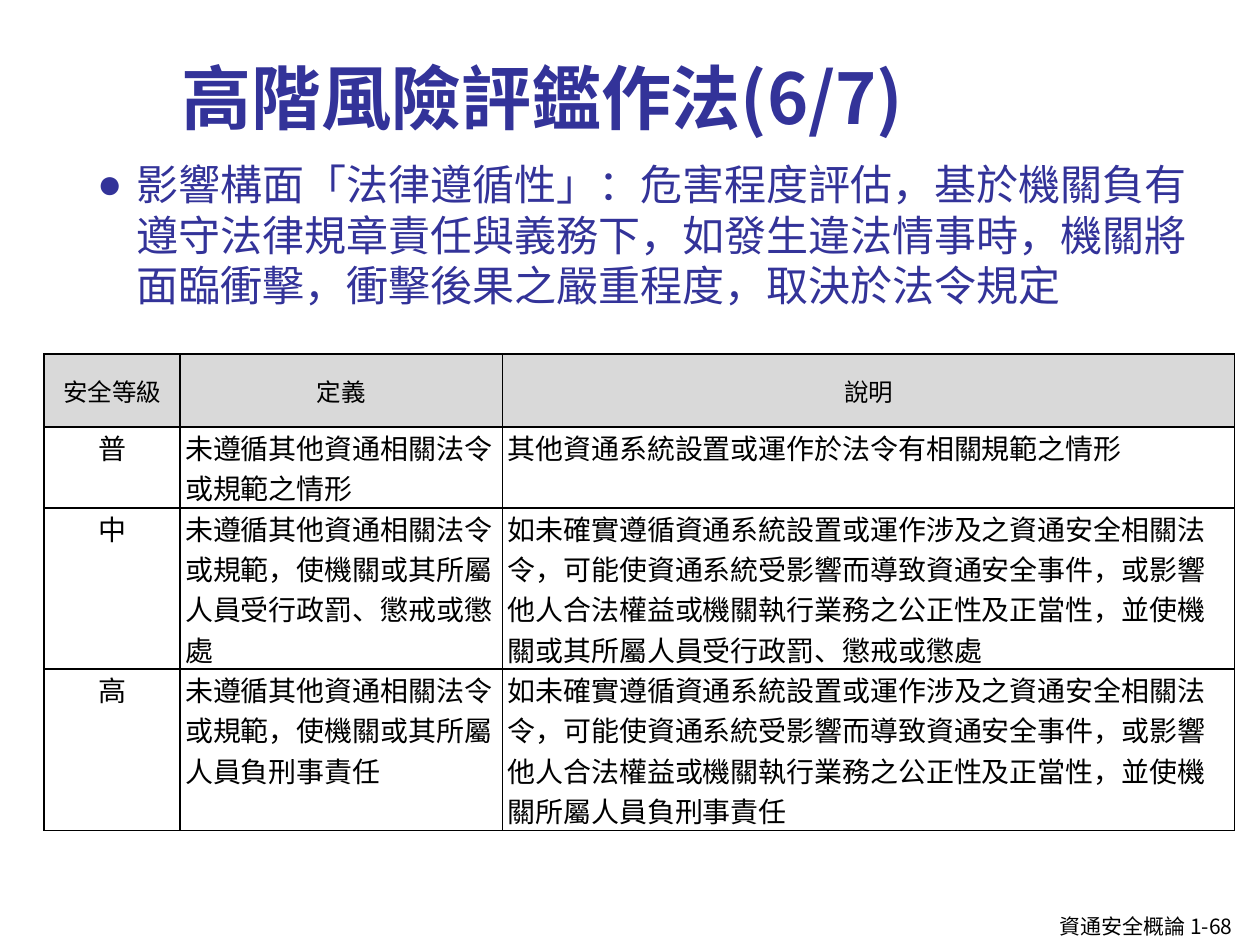
from pptx import Presentation
from pptx import util as u
from pptx.dml.color import RGBColor
from pptx.enum import text
from pptx.oxml.ns import qn
from lxml import etree

NAVY = RGBColor(0x33, 0x33, 0x99)
BLACK = RGBColor(0, 0, 0)
WHITE = RGBColor(0xFF, 0xFF, 0xFF)
GREY = RGBColor(0xD9, 0xD9, 0xD9)
SC, TC = "Noto Sans CJK SC", "Noto Sans CJK TC"
LEFT, CENTER = text.PP_ALIGN.LEFT, text.PP_ALIGN.CENTER
TOP, MIDDLE, BOTTOM = text.MSO_ANCHOR.TOP, text.MSO_ANCHOR.MIDDLE, text.MSO_ANCHOR.BOTTOM

COLS = [1.08, 2.56, 5.81]
ROWS = [0.58, 0.64, 1.28, 1.28]
RISK = "如未確實遵循資通系統設置或運作涉及之資通安全相關法令，可能使資通系統受影響而導致資通安全事件，或影響他人合法權益或機關執行業務之公正性及正當性，並使機關"
LEVELS = [
    ("安全等級", "定義", "說明"),
    ("普", "未遵循其他資通相關法令或規範之情形",
     "其他資通系統設置或運作於法令有相關規範之情形"),
    ("中", "未遵循其他資通相關法令或規範，使機關或其所屬人員受行政罰、懲戒或懲處",
     RISK + "或其所屬人員受行政罰、懲戒或懲處"),
    ("高", "未遵循其他資通相關法令或規範，使機關或其所屬人員負刑事責任",
     RISK + "所屬人員負刑事責任"),
]


def write(tf, content, size, color=BLACK, font=SC, bold=False, align=LEFT):
    """Put one formatted paragraph into a text frame and return it."""
    p = tf.paragraphs[0]
    p.alignment = align
    p.space_before = u.Pt(0)
    r = p.add_run()
    r.text = content
    f = r.font
    f.size, f.bold, f.name = u.Pt(size), bold, font
    f.color.rgb = color
    etree.SubElement(r._r.get_or_add_rPr(), qn("a:ea"), typeface=font)
    return p


def place(sp, left, top, width, height):
    sp.left, sp.top = u.Inches(left), u.Inches(top)
    sp.width, sp.height = u.Inches(width), u.Inches(height)


def add_title(s, content):
    sp = s.shapes.title
    place(sp, 1.34, 0.13, 8.16, 1.02)
    tf = sp.text_frame
    tf.auto_size, tf.vertical_anchor = text.MSO_AUTO_SIZE.NONE, BOTTOM
    write(tf, content, 40, NAVY, TC, bold=True)


def add_body(s, content):
    sp = s.placeholders[1]
    place(sp, 0.67, 1.18, 8.98, 1.7)
    tf = sp.text_frame
    tf.auto_size, tf.vertical_anchor = text.MSO_AUTO_SIZE.NONE, TOP
    tf.margin_top = u.Inches(0.08)
    pPr = tf.paragraphs[0]._p.get_or_add_pPr()
    pPr.set("marL", str(u.Inches(0.31)))
    pPr.set("indent", str(-u.Inches(0.31)))
    etree.SubElement(pPr, qn("a:buChar"), char="●")
    p = write(tf, content, 24, NAVY)
    p.line_spacing = 1.0


def add_borders(cell):
    """Draw a 1 pt black line on each side of a cell, ahead of its fill."""
    tcPr = cell._tc.get_or_add_tcPr()
    for i, side in enumerate(("lnL", "lnR", "lnT", "lnB")):
        ln = etree.Element(qn("a:" + side), w=str(u.Pt(1)))
        fill = etree.SubElement(ln, qn("a:solidFill"))
        etree.SubElement(fill, qn("a:srgbClr"), val=str(BLACK))
        tcPr.insert(i, ln)


def fill_cell(cell, content, header, centred):
    cell.margin_left = cell.margin_right = u.Inches(0.04)
    cell.margin_top = cell.margin_bottom = 0
    cell.vertical_anchor = MIDDLE if header else TOP
    cell.fill.solid()
    cell.fill.fore_color.rgb = GREY if header else WHITE
    add_borders(cell)
    write(cell.text_frame, content, 14 if header else 16,
          align=CENTER if centred else LEFT)


def add_level_table(s):
    frame = s.shapes.add_table(len(ROWS), len(COLS), u.Inches(0.35), u.Inches(2.81),
                               u.Inches(sum(COLS)), u.Inches(sum(ROWS)))
    table = frame.table
    for col, width in zip(table.columns, COLS):
        col.width = u.Inches(width)
    for row, height in zip(table.rows, ROWS):
        row.height = u.Inches(height)
    for i, level in enumerate(LEVELS):
        for j, content in enumerate(level):
            fill_cell(table.cell(i, j), content, i == 0, i == 0 or j == 0)


def add_footer(s, content):
    sp = s.shapes.add_textbox(u.Inches(8.31), u.Inches(7.2), u.Inches(1.69), u.Inches(0.3))
    tf = sp.text_frame
    tf.word_wrap = False
    write(tf, content, 12)


def main():
    prs = Presentation()
    prs.slide_width, prs.slide_height = u.Inches(10), u.Inches(7.5)
    s = prs.slides.add_slide(prs.slide_layouts[1])
    # Heading and summary
    add_title(s, "高階風險評鑑作法(6/7)")
    add_body(s, "影響構面「法律遵循性」：危害程度評估，基於機關負有遵守法律規章責任與義務下，"
                "如發生違法情事時，機關將面臨衝擊，衝擊後果之嚴重程度，取決於法令規定")
    # Security levels
    add_level_table(s)
    # Course name and page number
    add_footer(s, "資通安全概論 1-68")
    prs.save("out.pptx")


if __name__ == "__main__":
    main()
